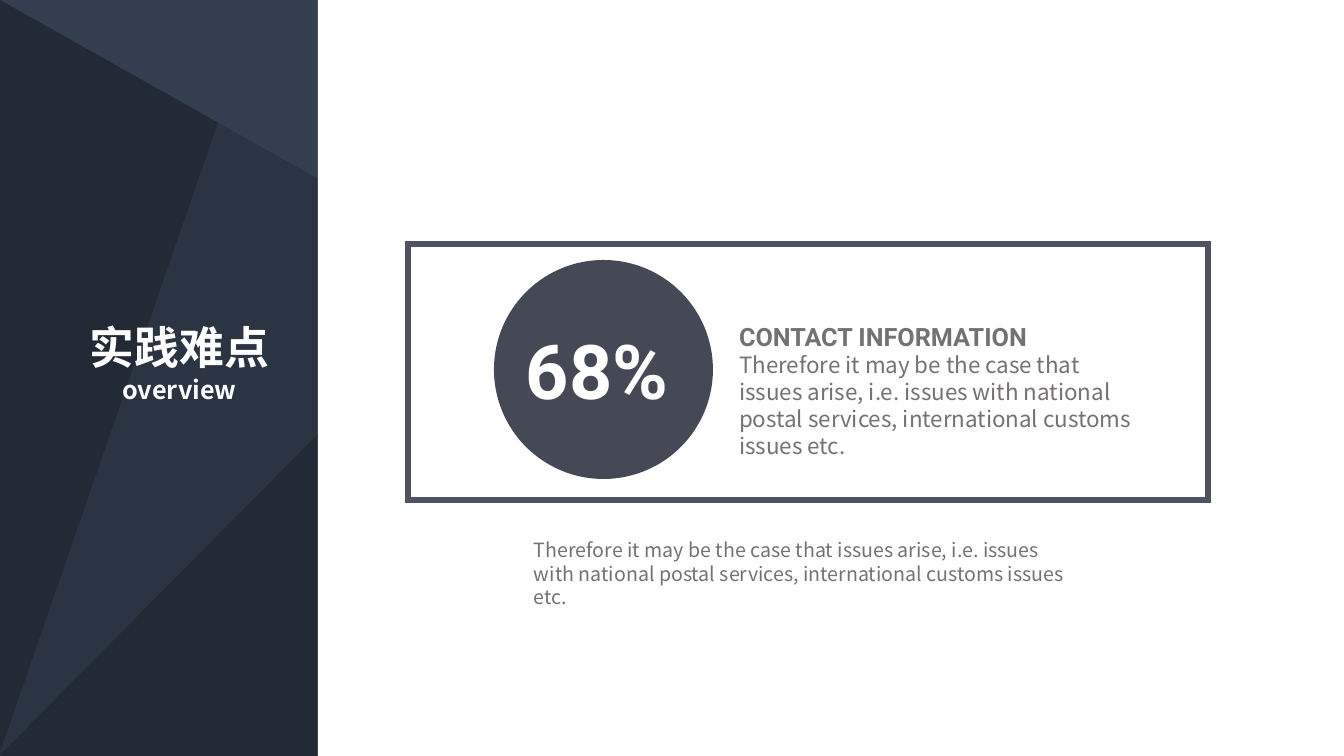
from dataclasses import dataclass

from lxml import etree
from pptx import Presentation
from pptx import util as u
from pptx.dml.color import RGBColor
from pptx.enum import shapes, text
from pptx.oxml.ns import qn

PX = 914400 / 100.8
LINE_HEIGHT = 1.2


@dataclass(frozen=True)
class Theme:
    base: str = "222A35"
    facet: str = "333F50"
    white: str = "FFFFFF"
    frame: str = "4F5261"
    circle: str = "454855"
    grey: str = "767171"
    sans: str = "Noto Sans CJK JP"
    display: str = "Roboto"
    title: int = 32
    heading: int = 18
    body: int = 16
    note: int = 14
    figure: int = 54


@dataclass(frozen=True)
class Box:
    left: int
    top: int
    width: int
    height: int

    def emu(self) -> tuple[int, ...]:
        return tuple(px(n) for n in (self.left, self.top, self.width, self.height))


@dataclass(frozen=True)
class Panel:
    kind: shapes.MSO_SHAPE
    box: Box
    fill: str
    line: str | None = None
    apex: int | None = None
    rotation: float = 0
    opacity: int = 100


THEME = Theme()
KIND = shapes.MSO_SHAPE
MESSAGE = ("Therefore it may be the case that issues arise, i.e. issues with national "
           "postal services, international customs issues etc.")
PANELS = (
    Panel(KIND.ISOSCELES_TRIANGLE, Box(0, 0, 1344, 756), THEME.base, apex=0),
    Panel(KIND.PARALLELOGRAM, Box(-72, 169, 1486, 416), THEME.base,
          rotation=346.3, opacity=50),
    Panel(KIND.ISOSCELES_TRIANGLE, Box(115, 65, 371, 773), THEME.facet,
          apex=1, rotation=199.1, opacity=50),
    Panel(KIND.RECTANGLE, Box(318, 0, 1026, 756), THEME.white),
    Panel(KIND.RECTANGLE, Box(408, 244, 800, 256), THEME.white, line=THEME.frame),
    Panel(KIND.OVAL, Box(494, 260, 219, 219), THEME.circle),
)


def px(length: int) -> int:
    return round(length * PX)


def draw_panel(page, panel: Panel) -> None:
    shape = page.shapes.add_shape(panel.kind, *panel.box.emu())
    shape.shadow.inherit = False
    shape.rotation = panel.rotation
    if panel.apex is not None:
        shape.adjustments[0] = panel.apex
    shape.fill.solid()
    shape.fill.fore_color.rgb = RGBColor.from_string(panel.fill)
    if panel.opacity < 100:
        color = shape._element.spPr.find(f"{qn('a:solidFill')}/{qn('a:srgbClr')}")
        etree.SubElement(color, qn("a:alpha")).set("val", str(panel.opacity * 1000))
    if panel.line:
        shape.line.color.rgb = RGBColor.from_string(panel.line)
        shape.line.width = u.Pt(4.5)
        outline = shape._element.spPr.find(qn("a:ln"))
        etree.SubElement(outline, qn("a:miter")).set("lim", "800000")
    else:
        shape.line.fill.background()


def place(shape, box: Box, wrap: bool = True):
    """Move a text shape to its box and return its plain, top-anchored frame."""
    shape.left, shape.top, shape.width, shape.height = box.emu()
    frame = shape.text_frame
    frame.word_wrap = wrap
    frame.auto_size = text.MSO_AUTO_SIZE.NONE
    frame.vertical_anchor = text.MSO_ANCHOR.TOP
    return frame


def write(frame, words: str, *, size: int, color: str, font: str = THEME.sans,
          bold: bool = False, align=text.PP_ALIGN.LEFT, spacing: float = 1.0) -> None:
    """Fill the first empty paragraph, or add one; spacing multiplies the line height."""
    para = frame.paragraphs[-1]
    if para.runs:
        para = frame.add_paragraph()
    para.alignment = align
    para.space_before = para.space_after = u.Pt(0)
    para.line_spacing = u.Pt(round(size * LINE_HEIGHT * spacing, 1))
    properties = para._p.get_or_add_pPr()
    properties.set("marL", "0")
    properties.set("indent", "0")
    etree.SubElement(properties, qn("a:buNone"))
    span = para.add_run()
    span.text = words
    span.font.size = u.Pt(size)
    span.font.bold = bold
    span.font.name = font
    span.font.color.rgb = RGBColor.from_string(color)
    etree.SubElement(span._r.get_or_add_rPr(), qn("a:ea")).set("typeface", font)


def main() -> None:
    deck = Presentation()
    deck.slide_width, deck.slide_height = px(1344), px(756)
    page = deck.slides.add_slide(deck.slide_layouts[1])
    title, body = page.placeholders

    backdrop = page.background.fill
    backdrop.solid()
    backdrop.fore_color.rgb = RGBColor.from_string(THEME.facet)
    for panel in PANELS:
        draw_panel(page, panel)
    for holder in (title, body):
        page.shapes._spTree.append(holder._element)  # bring in front of the panels

    frame = place(title, Box(79, 315, 201, 95), wrap=False)
    for words, size in (("实践难点", THEME.title), ("overview", THEME.heading)):
        write(frame, words, size=size, color=THEME.white, bold=True,
              align=text.PP_ALIGN.CENTER)

    frame = place(body, Box(729, 301, 424, 137))
    write(frame, "CONTACT INFORMATION", size=THEME.heading, color=THEME.grey,
          font=THEME.display, bold=True, spacing=1.5)
    write(frame, MESSAGE, size=THEME.body, color=THEME.grey)

    note = Box(524, 533, 567, 57)
    write(place(page.shapes.add_textbox(*note.emu()), note), MESSAGE,
          size=THEME.note, color=THEME.grey)

    figure = Box(516, 319, 174, 102)
    write(place(page.shapes.add_textbox(*figure.emu()), figure, wrap=False), "68%",
          size=THEME.figure, color=THEME.white, font=THEME.display, bold=True)

    deck.save("out.pptx")


if __name__ == "__main__":
    main()
